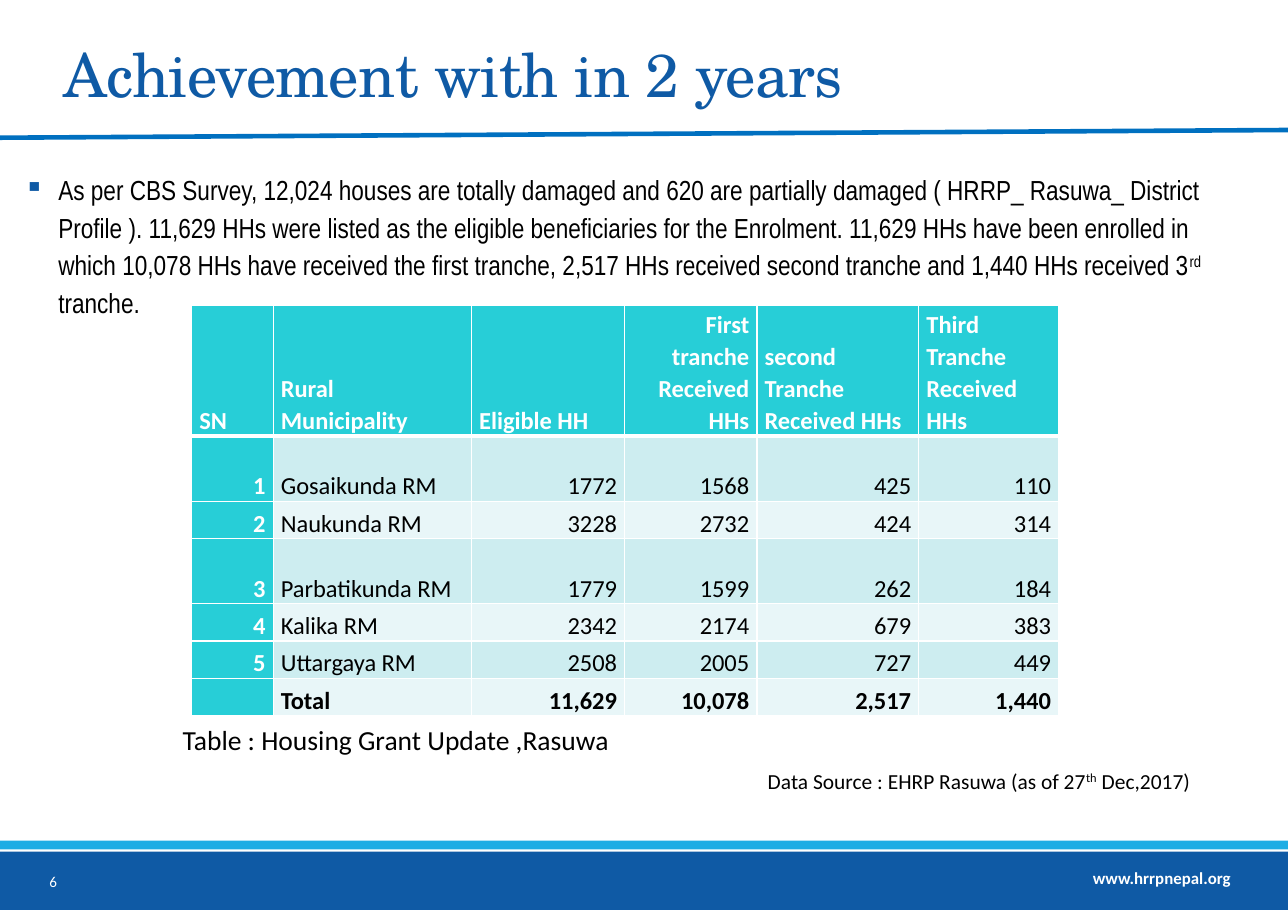
from lxml import etree
from pptx import Presentation
from pptx.dml.color import RGBColor
from pptx.enum import shapes, text
from pptx.oxml.ns import qn
from pptx.util import Inches, Pt

BLUE, WHITE, BLACK, TEAL = "0F5AA5", "FFFFFF", "000000", "27CED7"
BANDS = ["CDEDF0", "E8F6F8"]
LEFT, RIGHT = text.PP_ALIGN.LEFT, text.PP_ALIGN.RIGHT
TOP, MIDDLE, BOTTOM = (text.MSO_ANCHOR.TOP, text.MSO_ANCHOR.MIDDLE,
                       text.MSO_ANCHOR.BOTTOM)

COLUMNS = [0.74, 1.8, 1.39, 1.2, 1.47, 1.27]
ROWS = [1.19, 0.59, 0.34, 0.59, 0.34, 0.34, 0.34]
GRANTS = [
    ["SN", "Rural Municipality", "Eligible HH", "First tranche Received HHs",
     "second Tranche Received HHs", "Third Tranche Received HHs"],
    ["1", "Gosaikunda RM", "1772", "1568", "425", "110"],
    ["2", "Naukunda RM", "3228", "2732", "424", "314"],
    ["3", "Parbatikunda RM", "1779", "1599", "262", "184"],
    ["4", "Kalika RM", "2342", "2174", "679", "383"],
    ["5", "Uttargaya RM", "2508", "2005", "727", "449"],
    ["", "Total", "11,629", "10,078", "2,517", "1,440"],
]
SURVEY = [
    "As per CBS Survey, 12,024 houses are totally damaged and 620 are partially "
    "damaged ( HRRP_ Rasuwa_ District Profile ). 11,629 HHs were listed as the "
    "eligible beneficiaries for the Enrolment. 11,629 HHs have been enrolled in "
    "which 10,078 HHs have received the first tranche, 2,517 HHs received second "
    "tranche and 1,440 HHs received 3", "rd", " tranche."]


def color(value):
    """Return the colour for a hex string."""
    return RGBColor.from_string(value)


def style(font, size, tint, name="Calibri", bold=False):
    """Set the look of a font."""
    font.size, font.name, font.bold = Pt(size), name, bold
    font.color.rgb = color(tint)


def add_bar(page, top, height, fill):
    """Add a full-width footer bar."""
    bar = page.shapes.add_shape(shapes.MSO_SHAPE.RECTANGLE, 0, Inches(top),
                                Inches(11.69), Inches(height))
    bar.shadow.inherit = False
    bar.fill.solid()
    bar.fill.fore_color.rgb = color(fill)
    bar.line.fill.background()


def add_rule(page):
    """Add the slanted line below the title."""
    rule = page.shapes.add_connector(shapes.MSO_CONNECTOR.STRAIGHT, 0,
                                     Inches(1.25), Inches(11.69), Inches(1.18))
    rule.line.color.rgb = color("0070C0")
    rule.line.width = Pt(3)
    etree.SubElement(rule._element.spPr, qn("a:effectLst"))


def add_text(page, place, parts, size, tint, name="Calibri", bold=False, anchor=TOP):
    """Add a text box whose every second part is superscript."""
    box = page.shapes.add_textbox(*map(Inches, place))
    frame = box.text_frame
    frame.word_wrap = True
    frame.vertical_anchor = anchor
    para = frame.paragraphs[0]
    for index, part in enumerate(parts):
        span = para.add_run()
        span.text = part
        style(span.font, size, tint, name, bold)
        if index % 2:
            span.font._element.set("baseline", "30000")
    return frame


def add_title(page):
    """Add the slide title."""
    frame = add_text(page, (0.48, 0.27, 9.64, 0.78), ["Achievement with in 2 years"],
                     39.6, BLUE, "TeX Gyre Schola", anchor=BOTTOM)
    para = frame.paragraphs[0]
    para.line_spacing = 0.85
    para.runs[0].font._element.set("spc", "-40")


def add_survey(page):
    """Add the bulleted survey summary."""
    frame = add_text(page, (0.22, 1.48, 10.96, 5.5), SURVEY, 18, BLACK, "Arial Narrow")
    frame.margin_left = frame.margin_right = 0
    para = frame.paragraphs[0]
    para.line_spacing = 1.14
    para.space_after = Pt(1.6)
    properties = para._p.get_or_add_pPr()
    properties.set("marL", str(Inches(0.31)))
    properties.set("indent", str(Inches(-0.31)))
    tint = etree.SubElement(properties, qn("a:buClr"))
    etree.SubElement(tint, qn("a:srgbClr"), val=BLUE)
    etree.SubElement(properties, qn("a:buChar"), char="▪")


def set_borders(cell, bottom):
    """Draw white borders round a cell."""
    properties = cell._tc.get_or_add_tcPr()
    for index, (side, width) in enumerate(
            [("lnL", 1), ("lnR", 1), ("lnT", 1), ("lnB", bottom)]):
        line = etree.Element(qn(f"a:{side}"), w=str(Pt(width)))
        fill = etree.SubElement(line, qn("a:solidFill"))
        etree.SubElement(fill, qn("a:srgbClr"), val=WHITE)
        properties.insert(index, line)


def fill_cell(cell, row, column):
    """Write and format one cell of the grant table."""
    header, side = row == 0, column == 0
    cell.fill.solid()
    cell.fill.fore_color.rgb = color(TEAL if header or side else BANDS[(row - 1) % 2])
    cell.margin_left = cell.margin_right = Inches(0.07)
    cell.margin_top = cell.margin_bottom = 0
    cell.vertical_anchor = BOTTOM
    cell.text_frame.text = GRANTS[row][column]
    para = cell.text_frame.paragraphs[0]
    para.line_spacing = 1.07
    para.alignment = RIGHT if (column == 3 if header else column != 1) else LEFT
    for span in para.runs:
        style(span.font, 16, WHITE if header or side else BLACK,
              bold=header or side or row == len(GRANTS) - 1)
    set_borders(cell, 3 if header else 1)


def add_grants(page):
    """Add the housing grant table."""
    table = page.shapes.add_table(len(ROWS), len(COLUMNS), Inches(1.74), Inches(2.77),
                                  Inches(sum(COLUMNS)), Inches(sum(ROWS))).table
    for column, width in zip(table.columns, COLUMNS):
        column.width = Inches(width)
    for row, height in zip(table.rows, ROWS):
        row.height = Inches(height)
    for row in range(len(ROWS)):
        for column in range(len(COLUMNS)):
            fill_cell(table.cell(row, column), row, column)


def main():
    """Build and save the slide."""
    deck = Presentation()
    deck.slide_width, deck.slide_height = Inches(11.69), Inches(8.26)
    page = deck.slides.add_slide(deck.slide_layouts[6])
    add_bar(page, 7.73, 0.53, BLUE)
    add_bar(page, 7.63, 0.08, "1CADE4")
    add_text(page, (9.82, 7.83, 1.87, 0.29), ["www.hrrpnepal.org"], 11, WHITE, bold=True)
    add_rule(page)
    add_title(page)
    add_survey(page)
    add_text(page, (0.35, 7.78, 1.26, 0.44), ["6"], 9.9, WHITE, anchor=MIDDLE)
    add_grants(page)
    add_text(page, (1.56, 6.51, 8.84, 0.4), ["Table : Housing Grant Update ,Rasuwa"],
             18, BLACK)
    add_text(page, (6.87, 6.92, 4.57, 0.34),
             ["Data Source : EHRP Rasuwa (as of 27", "th", " Dec,2017)"], 14, BLACK)
    deck.save("out.pptx")


if __name__ == "__main__":
    main()
